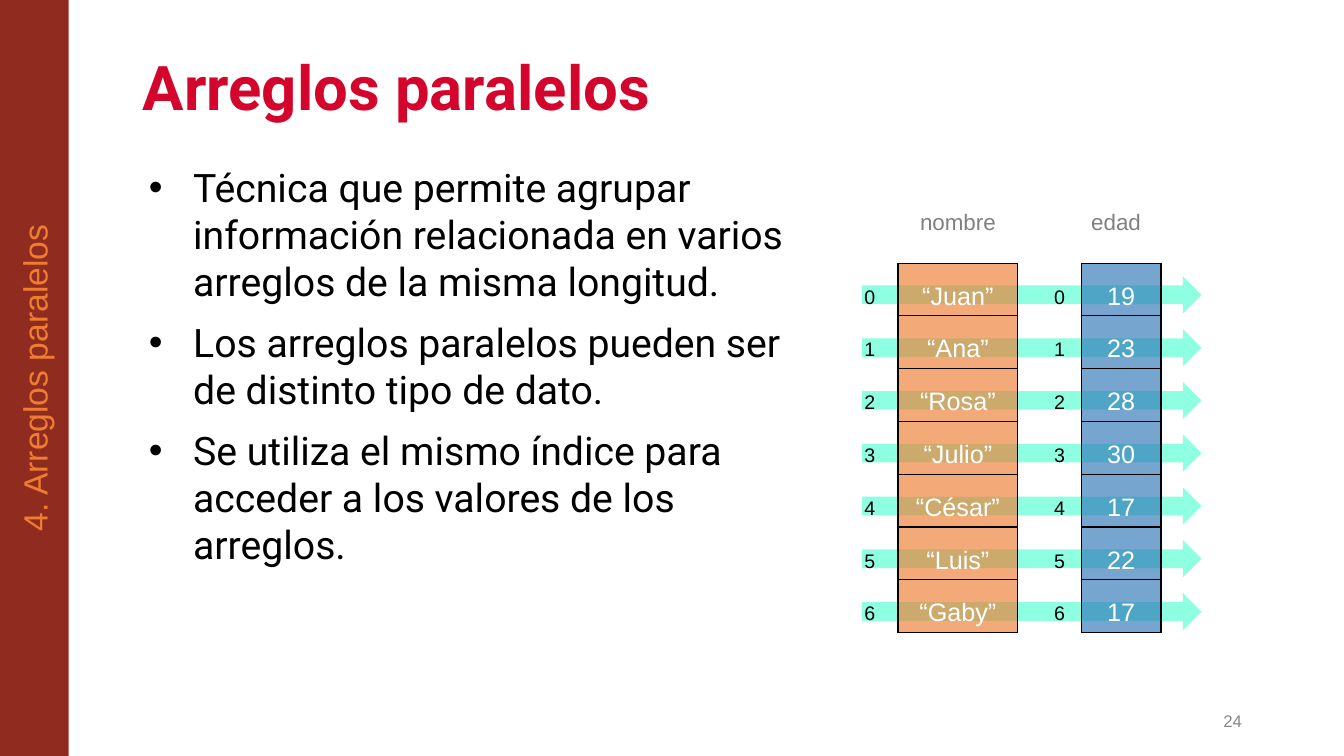
from lxml.etree import SubElement
from pptx import Presentation
from pptx.dml.color import RGBColor
from pptx.enum.shapes import MSO_SHAPE
from pptx.enum.text import MSO_ANCHOR, PP_ALIGN
from pptx.oxml.ns import qn
from pptx.util import Cm, Pt

BLACK = RGBColor(0x00, 0x00, 0x00)
WHITE = RGBColor(0xFF, 0xFF, 0xFF)
RED = RGBColor(0xD3, 0x05, 0x2C)
BRICK = RGBColor(0x90, 0x2B, 0x1F)
ORANGE = RGBColor(0xED, 0x7D, 0x31)
BLUE = RGBColor(0x2E, 0x75, 0xB6)
MINT = RGBColor(0x8F, 0xFF, 0xE2)
GRAY = RGBColor(0x80, 0x80, 0x80)
PALE = RGBColor(0x88, 0x88, 0x88)

NAMES = ["“Juan”", "“Ana”", "“Rosa”", "“Julio”", "“César”", "“Luis”", "“Gaby”"]
AGES = ["19", "23", "28", "30", "17", "22", "17"]
POINTS = [
    "Técnica que permite agrupar información relacionada en varios arreglos de la misma longitud.",
    "Los arreglos paralelos pueden ser de distinto tipo de dato.",
    "Se utiliza el mismo índice para acceder a los valores de los arreglos.",
]
PITCH = 1.33


def style(frame, size, color, align=PP_ALIGN.LEFT, face="Arial", bold=False):
    """Format every paragraph and run of a text frame."""
    for para in frame.paragraphs:
        para.alignment = align
        for run in para.runs:
            font = run.font
            font.name, font.size, font.bold = face, Pt(size), bold
            font.color.rgb = color


def add_text(slide, box, text, size, color, anchor=MSO_ANCHOR.TOP, **look):
    """Add a wrapped text box and return its frame."""
    frame = slide.shapes.add_textbox(*map(Cm, box)).text_frame
    frame.word_wrap = True
    frame.vertical_anchor = anchor
    frame.text = text
    style(frame, size, color, **look)
    return frame


def add_block(slide, kind, box, color):
    """Add a flat preset shape without an outline."""
    shape = slide.shapes.add_shape(kind, *map(Cm, box))
    shape.shadow.inherit = False
    shape.fill.solid()
    shape.fill.fore_color.rgb = color
    shape.line.fill.background()
    return shape


def add_bullets(slide, box, items):
    """Add the bulleted list."""
    frame = add_text(slide, box, "\n".join(items), 28, BLACK, face="Roboto")
    for i, para in enumerate(frame.paragraphs):
        para.space_before = Pt(10 if i else 0)
        props = para._p.get_or_add_pPr()
        props.set("marL", str(Cm(1.27)))
        props.set("indent", str(-Cm(1.12)))
        SubElement(props, qn("a:buFont"), typeface="Arial")
        SubElement(props, qn("a:buChar"), char="•")


def add_edges(props, ruled):
    """Give a cell four black borders, or none."""
    for side in ("a:lnL", "a:lnR", "a:lnT", "a:lnB"):
        line = SubElement(props, qn(side), w=str(Pt(1)))
        if ruled:
            fill = SubElement(line, qn("a:solidFill"))
            SubElement(fill, qn("a:srgbClr"), val=str(BLACK))
        else:
            SubElement(line, qn("a:noFill"))


def add_array(slide, left, top, width, values, size, color, fill=None):
    """Add a one-column table, tinted and ruled if a fill is given."""
    count = len(values)
    box = map(Cm, (left, top, width, PITCH * count))
    table = slide.shapes.add_table(count, 1, *box).table
    table.first_row = table.horz_banding = False
    for cell, value in zip(table.iter_cells(), values):
        cell.text = value
        cell.margin_bottom = 0
        cell.text_frame.paragraphs[0].line_spacing = 1.5
        style(cell.text_frame, size, color, PP_ALIGN.CENTER)
        props = cell._tc.get_or_add_tcPr()
        add_edges(props, fill is not None)
        if fill is None:
            cell.fill.background()
        else:
            cell.fill.solid()
            cell.fill.fore_color.rgb = fill
            tint = props.find(qn("a:solidFill") + "/" + qn("a:srgbClr"))
            SubElement(tint, qn("a:alpha"), val="65000")


def add_side(slide):
    """Add the side band with its vertical section name."""
    band = add_block(slide, MSO_SHAPE.RECTANGLE, (0, 0, 1.73, 19.05), BRICK)
    frame = band.text_frame
    frame.text = "4. Arreglos paralelos"
    frame.vertical_anchor = MSO_ANCHOR.MIDDLE
    style(frame, 24, ORANGE, PP_ALIGN.CENTER)
    band.element.txBody.find(qn("a:bodyPr")).set("vert", "vert270")


def main():
    """Build and save the slide."""
    deck = Presentation()
    deck.slide_width, deck.slide_height = Cm(33.87), Cm(19.05)
    slide = deck.slides.add_slide(deck.slide_layouts[6])

    for i in range(len(NAMES)):
        box = (21.72, 6.96 + i * PITCH, 8.56, 0.94)
        add_block(slide, MSO_SHAPE.RIGHT_ARROW, box, MINT)

    title = add_text(slide, (3.35, 1.19, 28.19, 2.18), "Arreglos paralelos", 44, RED,
                     MSO_ANCHOR.MIDDLE, face="Roboto", bold=True)
    title.paragraphs[0].line_spacing = 0.9
    add_text(slide, (23.93, 17.65, 7.62, 1.02), "24", 12, PALE,
             MSO_ANCHOR.MIDDLE, align=PP_ALIGN.RIGHT)
    add_bullets(slide, (3.35, 3.99, 16.79, 13.28), POINTS)
    add_side(slide)

    add_array(slide, 22.63, 6.63, 3.02, NAMES, 18, WHITE, ORANGE)
    add_array(slide, 27.25, 6.63, 2.01, AGES, 18, WHITE, BLUE)
    add_text(slide, (22.63, 5.13, 3.02, 0.94), "nombre", 16, GRAY, align=PP_ALIGN.CENTER)
    add_text(slide, (27.25, 5.13, 2.54, 0.94), "edad", 16, GRAY)
    marks = [str(i) for i in range(len(NAMES))]
    for left in (21.36, 26.14):
        add_array(slide, left, 6.81, 1.12, marks, 14, BLACK)

    deck.save("out.pptx")


if __name__ == "__main__":
    main()
